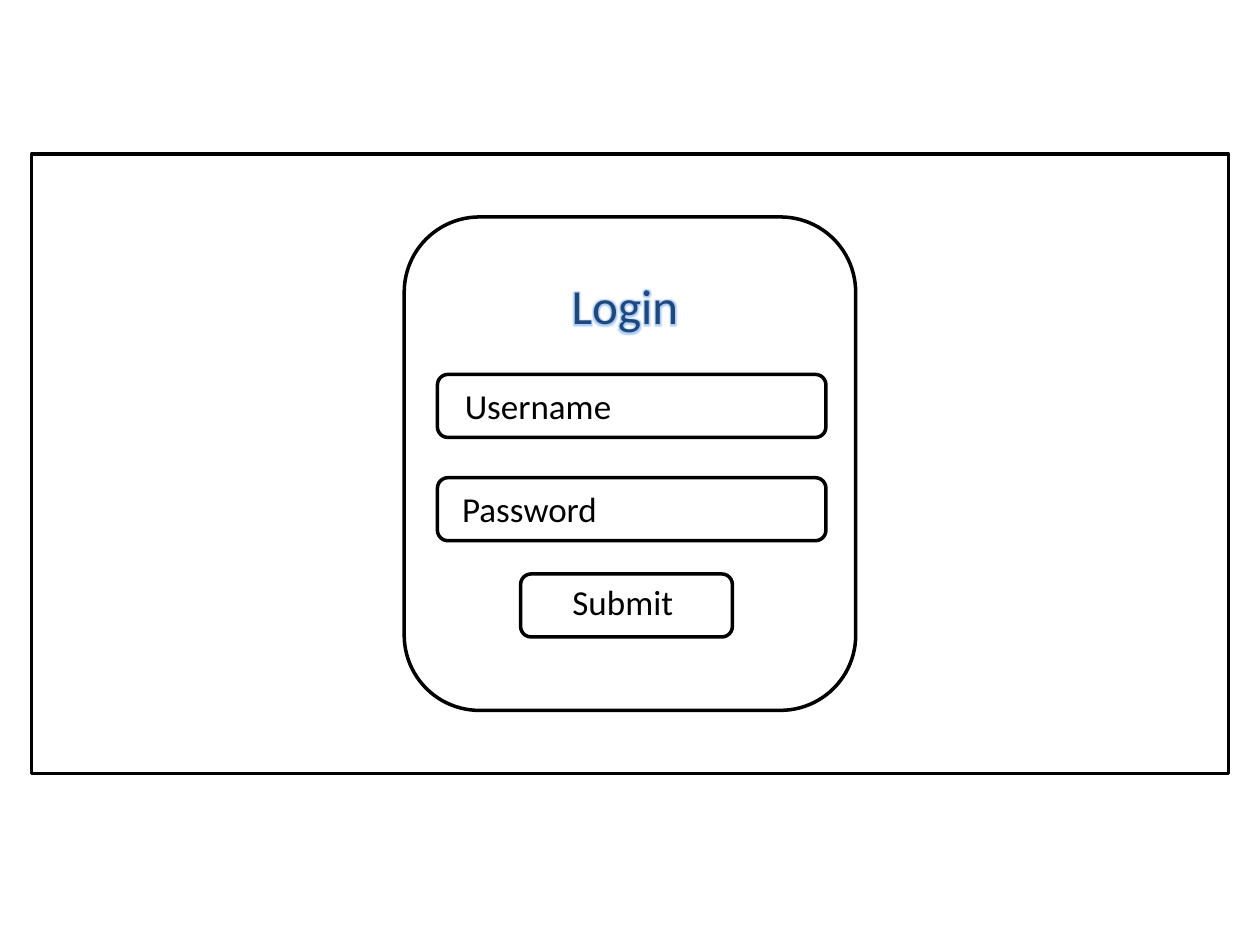
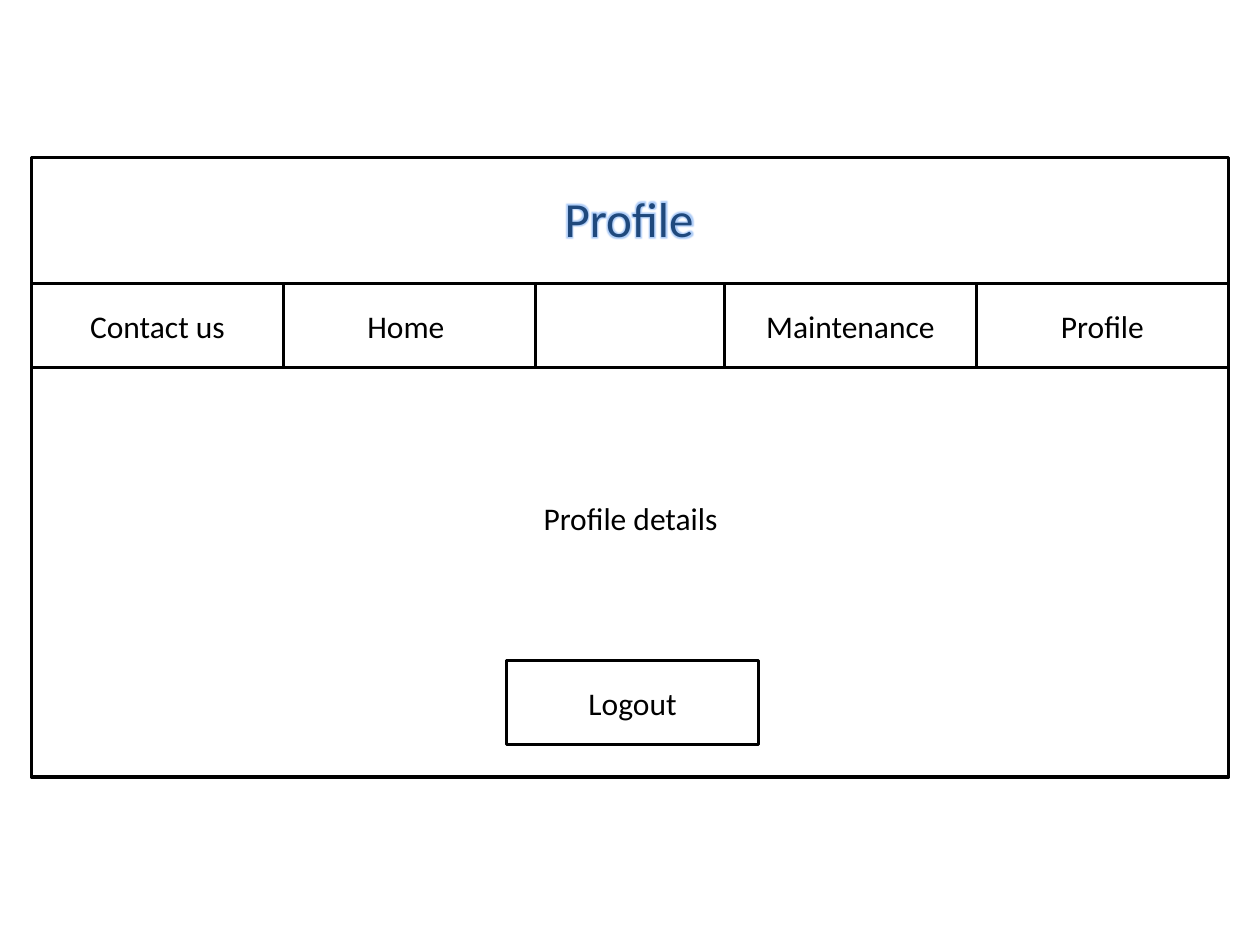
from dataclasses import dataclass

from lxml import etree
from pptx import Presentation
from pptx.dml.color import RGBColor
from pptx.enum import shapes, text
from pptx.oxml import ns
from pptx.util import Pt

HUES = {"paper": "FFFFFF", "ink": "000000", "head": "1F497D", "glow": "8DB8F5"}
FONT = "Calibri"
RECT = shapes.MSO_SHAPE.RECTANGLE
ROUND = shapes.MSO_SHAPE.ROUNDED_RECTANGLE
BUTTON = shapes.MSO_SHAPE.ACTION_BUTTON_CUSTOM
LEFT, WIDE = 18, 684
TAB_W, BAR_H = 144, 48
FIELD_H = 36


@dataclass
class Area:
    x: float
    y: float
    w: float
    h: float

    def size(self) -> tuple:
        return tuple(Pt(n) for n in (self.x, self.y, self.w, self.h))


def tint(name: str) -> RGBColor:
    return RGBColor.from_string(HUES[name])


def write(shape, words: str, size: float, hue: str = "ink", mid: bool = False) -> None:
    frame = shape.text_frame
    frame.text = words
    form = {
        "word_wrap": mid,
        "auto_size": text.MSO_AUTO_SIZE.NONE,
        "vertical_anchor": text.MSO_ANCHOR.MIDDLE if mid else text.MSO_ANCHOR.TOP,
    }
    for key, value in form.items():
        setattr(frame, key, value)
    para = frame.paragraphs[0]
    para.alignment = text.PP_ALIGN.CENTER if mid else text.PP_ALIGN.LEFT
    font = para.runs[0].font
    for key, value in {"size": Pt(size), "name": FONT}.items():
        setattr(font, key, value)
    font.color.rgb = tint(hue)


def box(slide, kind, area: Area, words: str = "") -> None:
    shape = slide.shapes.add_shape(kind, *area.size())
    shape.shadow.inherit = False
    shape.fill.solid()
    shape.fill.fore_color.rgb = tint("paper")
    shape.line.color.rgb = tint("ink")
    shape.line.width = Pt(2)
    if words:
        write(shape, words, 18, mid=True)


def label(slide, area: Area, words: str, size: float) -> None:
    write(slide.shapes.add_textbox(*area.size()), words, size)


def head(slide, area: Area, words: str) -> None:
    """Place the title above the shapes drawn so far, with a soft glow."""
    title = slide.shapes.title
    title.left, title.top, title.width, title.height = area.size()
    write(title, words, 28, "head")
    props = title.text_frame.paragraphs[0].runs[0].font.fill._xPr
    fx = etree.Element(ns.qn("a:effectLst"))
    glow = etree.SubElement(fx, ns.qn("a:glow"), rad=str(Pt(3)))
    hue = etree.SubElement(glow, ns.qn("a:srgbClr"), val=HUES["glow"])
    etree.SubElement(hue, ns.qn("a:alpha"), val="70000")
    props.find(ns.qn("a:solidFill")).addnext(fx)
    slide.shapes._spTree.append(title._element)


def page(deck, top: float):
    slide = deck.slides.add_slide(deck.slide_layouts[5])
    box(slide, RECT, Area(LEFT, top, WIDE, 354))
    return slide


def login(deck) -> None:
    slide = page(deck, 88)
    box(slide, ROUND, Area(231, 124, 258, 282))
    head(slide, Area(319.5, 154, 76, 41), "Login")
    for row, (words, x, w) in enumerate([("Username", 258.5, 99), ("Password", 257, 92)]):
        y = 214 + 59 * row
        box(slide, ROUND, Area(250, y, 222, FIELD_H))
        label(slide, Area(x, y + 2, w, 32), words, 20)
    box(slide, ROUND, Area(297.5, 328, 121, FIELD_H))
    label(slide, Area(320, 328, 73, 32), "Submit", 20)


def profile(deck) -> None:
    slide = page(deck, 90)
    bar = 162
    box(slide, RECT, Area(LEFT, bar, WIDE, BAR_H))
    head(slide, Area(315.5, 104, 89, 41), "Profile")
    end = LEFT + WIDE
    tabs = {
        "Contact us": LEFT,
        "Home ": LEFT + TAB_W,
        "Maintenance": end - 2 * TAB_W,
        "Profile": end - TAB_W,
    }
    for words, x in tabs.items():
        box(slide, BUTTON, Area(x, bar, TAB_W, BAR_H), words)
    label(slide, Area(303.5, 281.5, 115, 29), "Profile details", 18)
    box(slide, BUTTON, Area(289.5, 377.5, TAB_W, BAR_H), "Logout")


def main() -> None:
    deck = Presentation()
    deck.slide_width, deck.slide_height = Pt(720), Pt(540)
    login(deck)
    profile(deck)
    deck.save("out.pptx")


if __name__ == "__main__":
    main()
